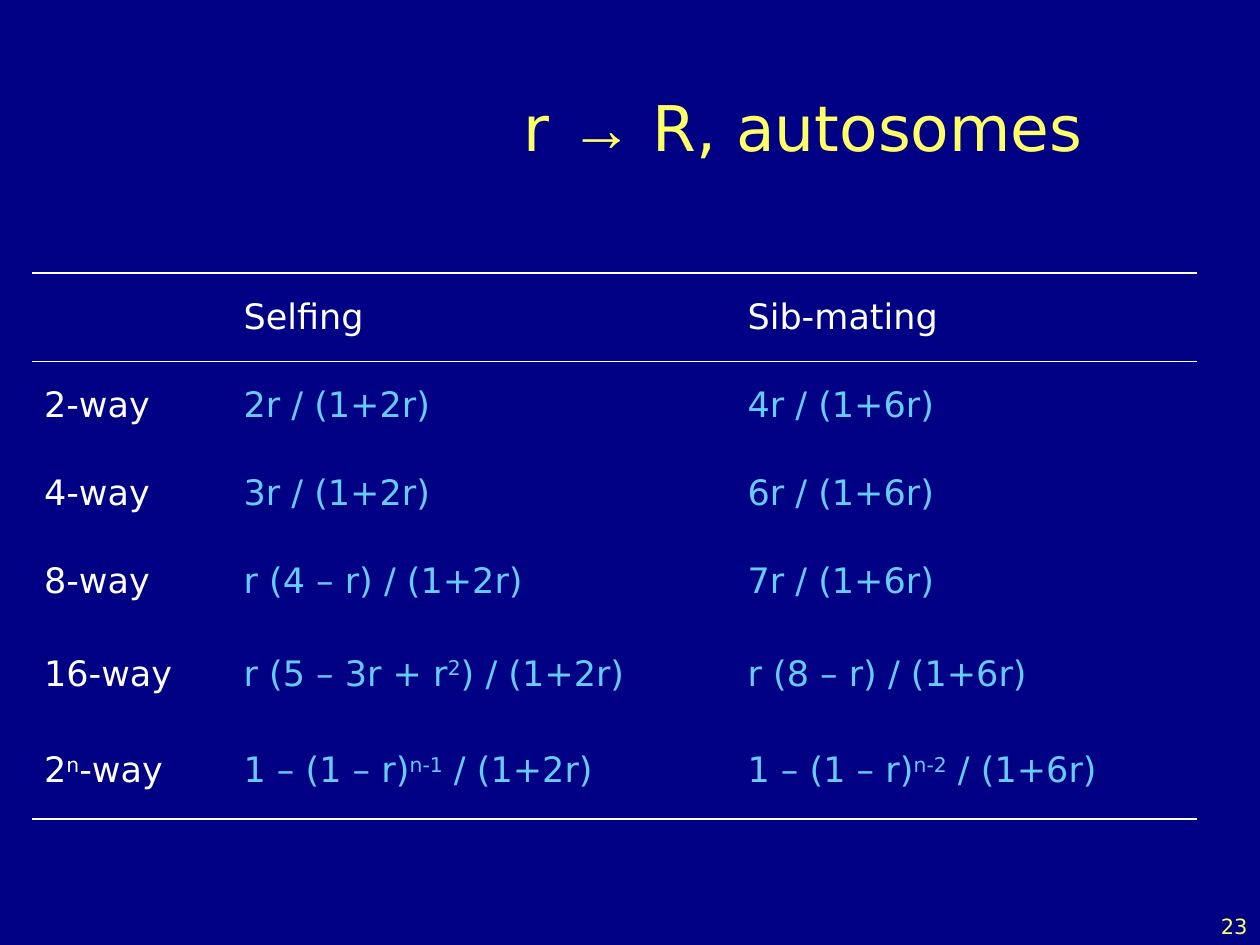
import itertools
from dataclasses import dataclass

import lxml.etree
import pptx
import pptx.dml.color
import pptx.enum.text
import pptx.oxml.ns
import pptx.util

Pt = pptx.util.Pt
Align = pptx.enum.text.PP_ALIGN
Anchor = pptx.enum.text.MSO_ANCHOR


@dataclass(frozen=True)
class Theme:
    background: str = "000085"
    accent: str = "FFFF66"
    label: str = "FFFFFF"
    formula: str = "66CCFF"
    font: str = "DejaVu Sans"
    arrow_font: str = "Arial"
    title_size: int = 36
    table_size: int = 20
    number_size: int = 12
    thick_rule: float = 1.08
    thin_rule: float = 0.45


THEME = Theme()

ROWS = [
    ("", "Selfing", "Sib-mating"),
    ("2-way", "2r / (1+2r)", "4r / (1+6r)"),
    ("4-way", "3r / (1+2r)", "6r / (1+6r)"),
    ("8-way", "r (4 – r) / (1+2r)", "7r / (1+6r)"),
    ("16-way", "r (5 – 3r + r^2^) / (1+2r)", "r (8 – r) / (1+6r)"),
    ("2^n^-way", "1 – (1 – r)^n-1^ / (1+2r)", "1 – (1 – r)^n-2^ / (1+6r)"),
    ("", "", ""),
]
COLUMN_WIDTHS = [114, 288, 264]
ROW_HEIGHTS = [50.4] * 4 + [55.2] * 2 + [31.8]
RULES = {
    (0, "T"): THEME.thick_rule,
    (0, "B"): THEME.thin_rule,
    (1, "T"): THEME.thin_rule,
    (5, "B"): THEME.thick_rule,
    (6, "T"): THEME.thick_rule,
}


def write_text(frame, text, *, size, color, align=Align.LEFT):
    paragraph = frame.paragraphs[0]
    paragraph.alignment = align
    for index, part in enumerate(text.split("^")):
        for is_arrow, letters in itertools.groupby(part, lambda letter: letter == "→"):
            run = paragraph.add_run()
            run.text = "".join(letters)
            run.font.size = Pt(size)
            run.font.name = THEME.arrow_font if is_arrow else THEME.font
            run.font.color.rgb = pptx.dml.color.RGBColor.from_string(color)
            if index % 2:
                run.font._element.set("baseline", "30000")


def add_text_box(slide, box, text, *, anchor, **text_format):
    frame = slide.shapes.add_textbox(*map(Pt, box)).text_frame
    frame.word_wrap = True
    frame.vertical_anchor = anchor
    write_text(frame, text, **text_format)


def set_borders(cell, row_index):
    qn = pptx.oxml.ns.qn
    properties = cell._tc.get_or_add_tcPr()
    for position, side in enumerate("LRTB"):
        line = lxml.etree.Element(qn(f"a:ln{side}"))
        width = RULES.get((row_index, side))
        if width:
            line.set("w", str(int(Pt(width))))
            fill = lxml.etree.SubElement(line, qn("a:solidFill"))
            lxml.etree.SubElement(fill, qn("a:srgbClr"), val=THEME.label)
        else:
            lxml.etree.SubElement(line, qn("a:noFill"))
        properties.insert(position, line)


def add_formula_table(slide, left, top):
    size = sum(COLUMN_WIDTHS), sum(ROW_HEIGHTS)
    table = slide.shapes.add_table(
        len(ROWS), len(COLUMN_WIDTHS), *map(Pt, (left, top, *size))
    ).table
    table.first_row = table.horz_banding = False
    for column, width in zip(table.columns, COLUMN_WIDTHS):
        column.width = Pt(width)
    for row_index, (row, height) in enumerate(zip(table.rows, ROW_HEIGHTS)):
        row.height = Pt(height)
        for column_index, cell in enumerate(row.cells):
            is_label = row_index == 0 or column_index == 0
            cell.fill.background()
            cell.vertical_anchor = Anchor.MIDDLE
            cell.margin_left = cell.margin_right = Pt(7.2)
            cell.margin_top = cell.margin_bottom = Pt(3.6)
            set_borders(cell, row_index)
            write_text(
                cell.text_frame,
                ROWS[row_index][column_index],
                size=THEME.table_size,
                color=THEME.label if is_label else THEME.formula,
            )


def main():
    presentation = pptx.Presentation()
    presentation.slide_width, presentation.slide_height = Pt(720), Pt(540)
    slide = presentation.slides.add_slide(presentation.slide_layouts[6])
    background = slide.background.fill
    background.solid()
    background.fore_color.rgb = pptx.dml.color.RGBColor.from_string(THEME.background)

    add_text_box(slide, (216, 18, 486, 108), "r → R, autosomes", anchor=Anchor.MIDDLE,
                 size=THEME.title_size, color=THEME.accent, align=Align.CENTER)
    add_formula_table(slide, 18, 156)
    add_text_box(slide, (570, 504, 150, 36), "23", anchor=Anchor.BOTTOM,
                 size=THEME.number_size, color=THEME.accent, align=Align.RIGHT)
    presentation.save("out.pptx")


if __name__ == "__main__":
    main()
